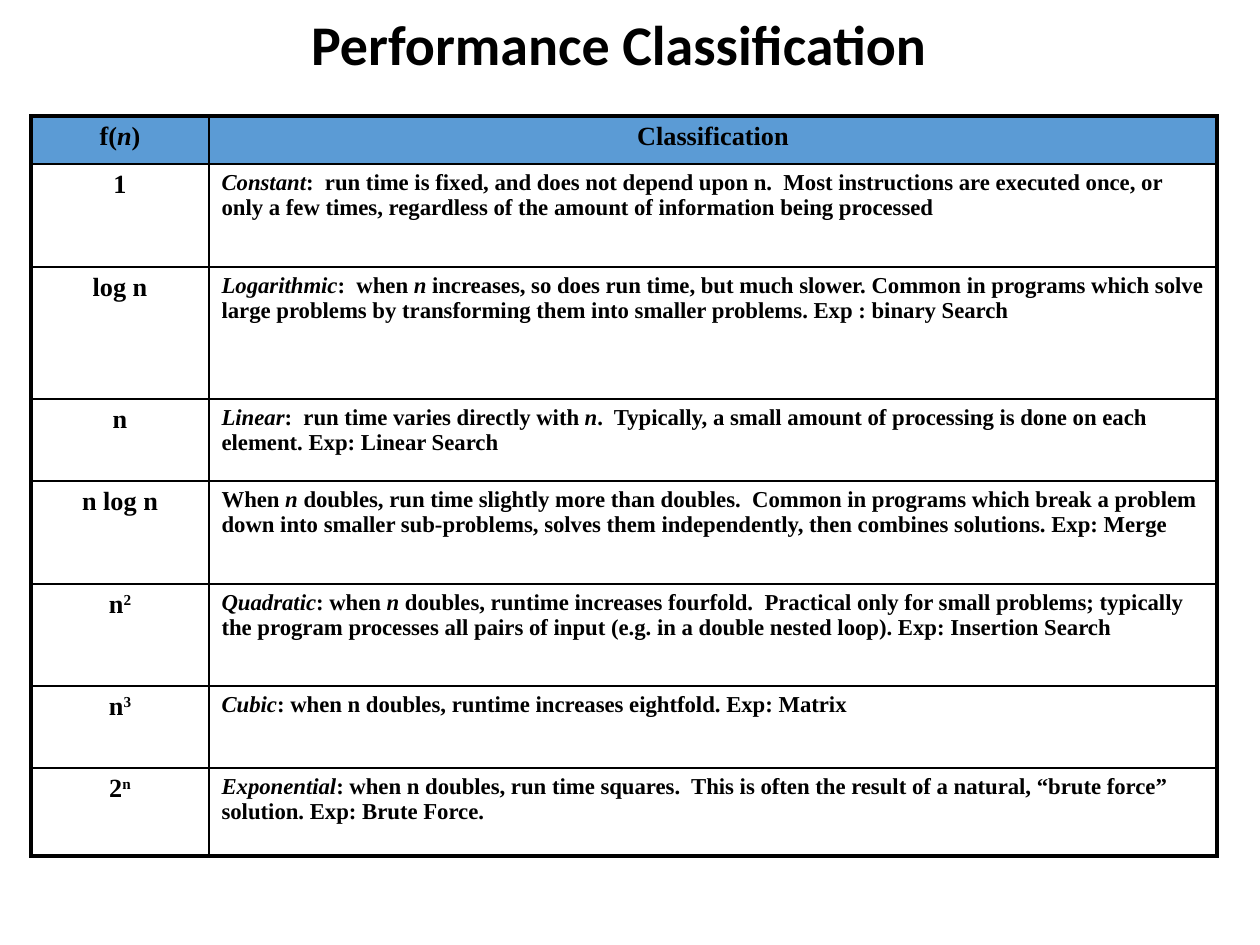
from pptx import Presentation
from pptx.dml.color import RGBColor
from pptx.enum.text import MSO_ANCHOR as Anchor, PP_ALIGN as Align
from pptx.oxml.ns import qn
from pptx.oxml.xmlchemy import OxmlElement as Element
from pptx.util import Pt

EMU_PER_PX = 914400 / 126
BLACK, BLUE = "000000", "5B9BD5"
SERIF = "Times New Roman"
TITLE_FONT = {"name": "Calibri", "size": Pt(32), "bold": True}
KEY_FONT = {"name": SERIF, "size": Pt(15), "bold": True}
BODY_FONT = {"name": SERIF, "size": Pt(13), "bold": True}
THIN, THICK = Pt(1), Pt(2.25)
COLUMNS = [178, 1008]
HEADER = ("f(*n*)", "Classification")
ROWS = [
    (103, "1", "*Constant*:  run time is fixed, and does not depend upon n.  Most instructions are "
     "executed once, or only a few times, regardless of the amount of information being processed"),
    (132, "log n", "*Logarithmic*:  when *n* increases, so does run time, but much slower. Common in "
     "programs which solve large problems by transforming them into smaller problems. "
     "Exp : binary Search"),
    (82, "n", "*Linear*:  run time varies directly with* n*.  Typically, a small amount of processing "
     "is done on each element. Exp: Linear Search"),
    (103, "n log n", "When *n* doubles, run time slightly more than doubles.  Common in programs which "
     "break a problem down into smaller sub-problems, solves them independently, then combines "
     "solutions. Exp: Merge"),
    (102, "n^2", "*Quadratic*: when *n *doubles, runtime increases fourfold.  Practical only for small "
     "problems; typically the program processes all pairs of input (e.g. in a double nested loop). "
     "Exp: Insertion Search"),
    (82, "n^3", "*Cubic*: when n doubles, runtime increases eightfold. Exp: Matrix"),
    (88, "2^n", "*Exponential*: when n doubles, run time squares.  This is often the result of a "
     "natural, “brute force” solution. Exp: Brute Force."),
]


def px(length):
    """Turn pixels into EMU."""
    return round(length * EMU_PER_PX)


def color(value):
    """Turn a hex string into a colour."""
    return RGBColor.from_string(value)


def add_span(para, text, font, italic=False, raised=False):
    """Add one formatted run to a paragraph."""
    span = para.add_run()
    span.text = text
    for name, value in {**font, "italic": italic}.items():
        setattr(span.font, name, value)
    span.font.color.rgb = color(BLACK)
    if raised:
        span.font._element.set("baseline", "30000")


def add_marked_text(para, text, font):
    """Write text in which *stars* mark italics and ^ starts a superscript."""
    base, _, power = text.partition("^")
    for index, piece in enumerate(base.split("*")):
        if piece:
            add_span(para, piece, font, italic=index % 2 == 1)
    if power:
        add_span(para, power, font, raised=True)


def set_space_before(para, percent):
    """Set the space before a paragraph as a share of its line."""
    space = Element("a:spcBef")
    share = Element("a:spcPct")
    share.set("val", str(percent * 1000))
    space.append(share)
    para._p.get_or_add_pPr().append(space)


def set_border(cell, side, width):
    """Draw one side of a cell as a solid black line."""
    line = Element(f"a:ln{side}")
    line.set("w", str(width))
    fill = Element("a:solidFill")
    tint = Element("a:srgbClr")
    tint.set("val", BLACK)
    fill.append(tint)
    line.append(fill)
    cell._tc.get_or_add_tcPr().append(line)


def add_title(page, left, top, width, height, text):
    """Place the centred heading in its box."""
    box = page.shapes.add_textbox(px(left), px(top), px(width), px(height))
    frame = box.text_frame
    frame.word_wrap = True
    frame.vertical_anchor = Anchor.MIDDLE
    para = frame.paragraphs[0]
    para.alignment = Align.CENTER
    para.line_spacing = 0.9
    add_span(para, text, TITLE_FONT)


def fill_cell(cell, text, font, align, fill):
    """Write a cell's text and set its fill."""
    para = cell.text_frame.paragraphs[0]
    para.alignment = align
    set_space_before(para, 20)
    add_marked_text(para, text, font)
    if fill:
        cell.fill.solid()
        cell.fill.fore_color.rgb = color(fill)
    else:
        cell.fill.background()


def add_classes(page, left, top):
    """Place the table of growth classes from its top left corner."""
    heights = [48] + [height for height, *_ in ROWS]
    lines = [HEADER] + [texts for _, *texts in ROWS]
    last_row, last_column = len(lines) - 1, len(COLUMNS) - 1
    table = page.shapes.add_table(len(lines), len(COLUMNS), px(left), px(top),
                                  px(sum(COLUMNS)), px(sum(heights))).table
    table.first_row = table.horz_banding = False
    for column, width in zip(table.columns, COLUMNS):
        column.width = px(width)
    for r, (height, texts) in enumerate(zip(heights, lines)):
        table.rows[r].height = px(height)
        for c, text in enumerate(texts):
            cell = table.cell(r, c)
            outer = {"L": c == 0, "R": c == last_column, "T": r == 0, "B": r == last_row}
            for side, is_outer in outer.items():
                set_border(cell, side, THICK if is_outer else THIN)
            is_body = r > 0 and c > 0
            fill_cell(cell, text, BODY_FONT if is_body else KEY_FONT,
                      Align.LEFT if is_body else Align.CENTER, BLUE if r == 0 else None)


def main():
    """Build the slide and save the deck."""
    deck = Presentation()
    deck.slide_width, deck.slide_height = px(1260), px(945)
    page = deck.slides.add_slide(deck.slide_layouts[6])
    add_title(page, 31, 0, 1176, 94, "Performance Classification")
    add_classes(page, 31, 116)
    deck.save("out.pptx")


if __name__ == "__main__":
    main()
